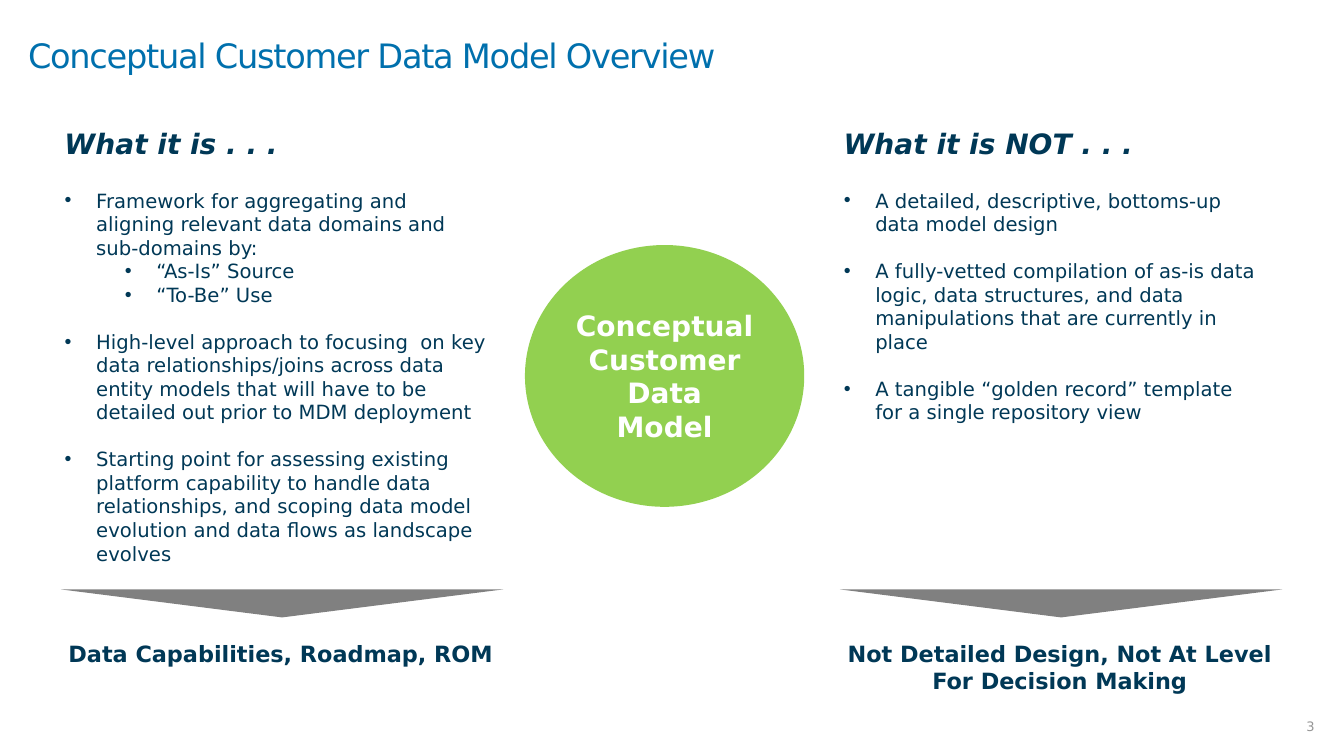
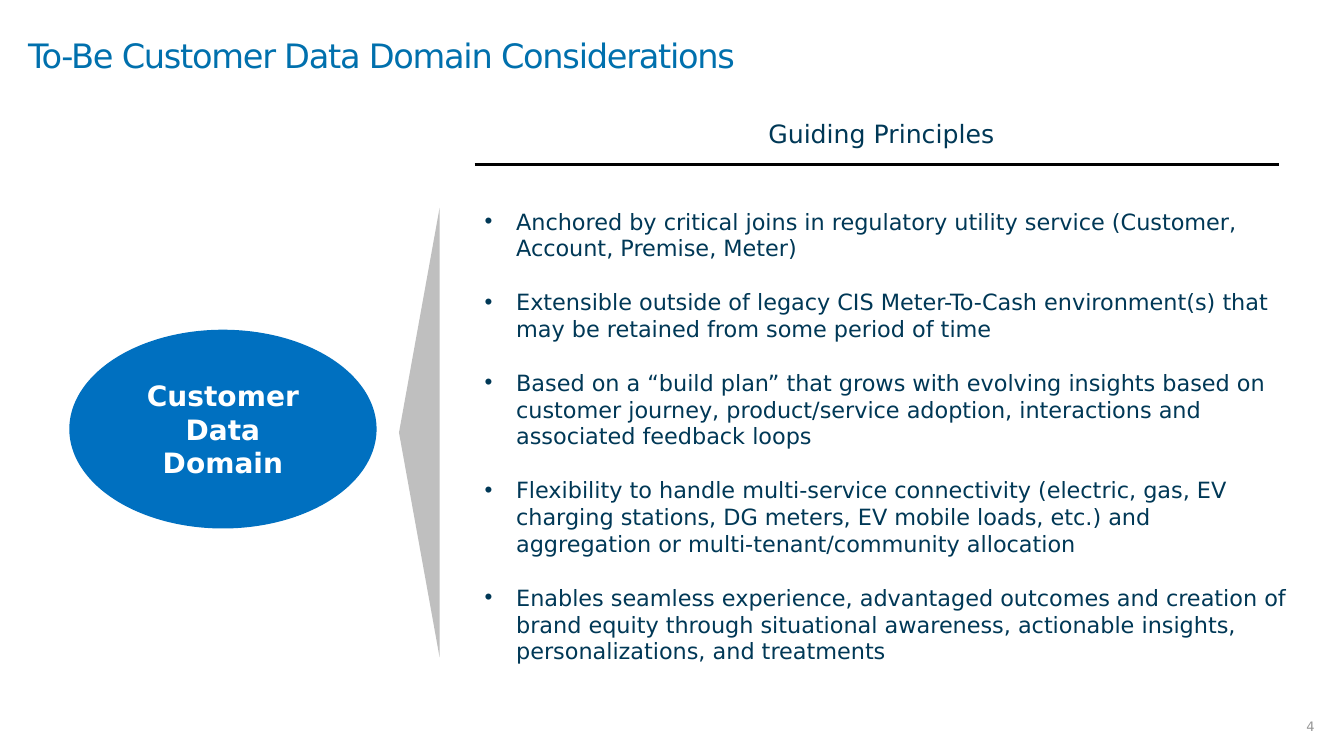
from lxml import etree
from pptx import Presentation
from pptx.dml.color import RGBColor
from pptx.enum import shapes, text
from pptx.oxml import ns
from pptx.util import Pt

FONT = "DejaVu Sans"
NAVY = RGBColor(0x00, 0x38, 0x56)
TITLE_BLUE = RGBColor(0x00, 0x70, 0xAD)
BLUE = RGBColor(0x00, 0x70, 0xC0)
GREEN = RGBColor(0x92, 0xD0, 0x50)
GRAY = RGBColor(0x80, 0x80, 0x80)
LIGHT_GRAY = RGBColor(0xBF, 0xBF, 0xBF)
NUMBER_GRAY = RGBColor(0x96, 0x96, 0x96)
BLACK = RGBColor(0, 0, 0)
WHITE = RGBColor(255, 255, 255)

SLIDE_WIDTH, SLIDE_HEIGHT = 960, 540
LEFT, CENTER = text.PP_ALIGN.LEFT, text.PP_ALIGN.CENTER
TOP, MIDDLE = text.MSO_ANCHOR.TOP, text.MSO_ANCHOR.MIDDLE
TWO_LISTS, ONE_LIST = 3, 1  # layout numbers
LINE_HEIGHT = 1.2
HANG, SUB_INDENT = 22.5, 65.5

IS_ITEMS = [
    (0, "Framework for aggregating and aligning relevant data domains and sub-domains by:"),
    (1, "“As-Is” Source"),
    (1, "“To-Be” Use"),
    (0, "High-level approach to focusing  on key data relationships/joins across data "
        "entity models that will have to be detailed out prior to MDM deployment"),
    (0, "Starting point for assessing existing platform capability to handle data "
        "relationships, and scoping data model evolution and data flows as landscape evolves"),
]
IS_NOT_ITEMS = [
    (0, "A detailed, descriptive, bottoms-up data model design"),
    (0, "A fully-vetted compilation of as-is data logic, data structures, and data "
        "manipulations that are currently in place"),
    (0, "A tangible “golden record” template for a single repository view"),
]
PRINCIPLES = [
    (0, "Anchored by critical joins in regulatory utility service (Customer, Account, "
        "Premise, Meter)"),
    (0, "Extensible outside of legacy CIS Meter-To-Cash environment(s) that may be "
        "retained from some period of time"),
    (0, "Based on a “build plan” that grows with evolving insights based on customer "
        "journey, product/service adoption, interactions and associated feedback loops"),
    (0, "Flexibility to handle multi-service connectivity (electric, gas, EV charging "
        "stations, DG meters, EV mobile loads, etc.) and aggregation or "
        "multi-tenant/community allocation"),
    (0, "Enables seamless experience, advantaged outcomes and creation of brand equity "
        "through situational awareness, actionable insights, personalizations, and treatments"),
]


def place(shape, left, top, width, height):
    shape.left, shape.top = Pt(left), Pt(top)
    shape.width, shape.height = Pt(width), Pt(height)


def format_runs(paragraph, size, color, bold=False, italic=False):
    for run in paragraph.runs:
        font = run.font
        font.name, font.size = FONT, Pt(size)
        font.bold, font.italic = bold, italic
        font.color.rgb = color


def set_label(shape, words, size, color, align=LEFT, anchor=TOP, bold=False, italic=False):
    frame = shape.text_frame
    frame.text = words
    frame.word_wrap = True
    frame.auto_size = text.MSO_AUTO_SIZE.NONE
    frame.vertical_anchor = anchor
    paragraph = frame.paragraphs[0]
    paragraph.alignment = align
    format_runs(paragraph, size, color, bold, italic)
    return paragraph


def add_label(slide, box, words, size, color=NAVY, **style):
    shape = slide.shapes.add_textbox(*map(Pt, box))
    return set_label(shape, words, size, color, **style)


def add_filled(slide, kind, box, color):
    shape = slide.shapes.add_shape(kind, *map(Pt, box))
    shape.shadow.inherit = False
    shape.fill.solid()
    shape.fill.fore_color.rgb = color
    shape.line.fill.background()
    return shape


def add_ellipse(slide, box, words, color):
    ellipse = add_filled(slide, shapes.MSO_SHAPE.OVAL, box, color)
    set_label(ellipse, words, 20, WHITE, align=CENTER, anchor=MIDDLE, bold=True)


def add_pointer(slide, box, color, rotation):
    pointer = add_filled(slide, shapes.MSO_SHAPE.ISOSCELES_TRIANGLE, box, color)
    pointer.rotation = rotation


def fill_list(body, box, items, size):
    """Fill a body placeholder with bullets, a blank line's height before each main one."""
    place(body, *box)
    frame = body.text_frame
    frame.auto_size = text.MSO_AUTO_SIZE.NONE
    frame.vertical_anchor = TOP
    for index, (level, words) in enumerate(items):
        paragraph = frame.paragraphs[0] if index == 0 else frame.add_paragraph()
        paragraph.text = words
        paragraph.level = level
        properties = paragraph._p.get_or_add_pPr()
        properties.set("marL", str(Pt(SUB_INDENT if level else HANG)))
        properties.set("indent", str(-Pt(HANG)))
        etree.SubElement(properties, ns.qn("a:buFont"), typeface="Arial")
        etree.SubElement(properties, ns.qn("a:buChar"), char="•")
        paragraph.alignment = LEFT
        paragraph.space_before = Pt(0 if index == 0 or level else size * LINE_HEIGHT)
        format_runs(paragraph, size, NAVY)


def add_slide(presentation, layout, title, number):
    """Add a slide with the shared title and page number."""
    slide = presentation.slides.add_slide(presentation.slide_layouts[layout])
    shape = slide.shapes.title
    place(shape, 0, 0, SLIDE_WIDTH, 83.5)
    paragraph = set_label(shape, title, 24, TITLE_BLUE, anchor=MIDDLE)
    paragraph.line_spacing = 0.85
    paragraph.runs[0].font._element.set("spc", "-90")
    frame = shape.text_frame
    frame.margin_left, frame.margin_right = Pt(20), Pt(11)
    frame.margin_top = frame.margin_bottom = Pt(2)
    paragraph = add_label(slide, (912, 507.5, 48, 25), number, 9.3, NUMBER_GRAY,
                          align=CENTER, anchor=MIDDLE)
    paragraph.line_spacing = 0.85
    return slide


def add_column(slide, body, left, heading, items, conclusion):
    """Heading, bullets, downward pointer and conclusion, from the column's left edge."""
    width = 316
    add_label(slide, (left, 86.5, width, 32), heading, 20, bold=True, italic=True)
    fill_list(body, (left, 131, width, 278), items, 14)
    add_pointer(slide, (left + 4.5, 421, width, 20), GRAY, 180)
    add_label(slide, (left - 10, 454, 343, 46), conclusion, 16, align=CENTER, bold=True)


def add_principles(slide, body, left, top):
    """Centred heading, rule and bullets, from the region's top left corner."""
    add_label(slide, (left + 164, top, 253, 29), "Guiding Principles", 18, align=CENTER)
    rule_top = top + 36
    rule = slide.shapes.add_connector(shapes.MSO_CONNECTOR.STRAIGHT, Pt(left), Pt(rule_top),
                                      Pt(left + 574.5), Pt(rule_top))
    rule.line.color.rgb = BLACK
    rule.line.width = Pt(2.25)
    etree.SubElement(rule._element.spPr, ns.qn("a:effectLst"))
    fill_list(body, (left, top + 63.5, 590, 337), PRINCIPLES, 16)


def build_overview(presentation):
    slide = add_slide(presentation, TWO_LISTS, "Conceptual Customer Data Model Overview", "3")
    left_body, right_body = list(slide.placeholders)[1:]
    add_column(slide, left_body, 39, "What it is . . .", IS_ITEMS,
               "Data Capabilities, Roadmap, ROM")
    add_column(slide, right_body, 595.5, "What it is NOT . . .", IS_NOT_ITEMS,
               "Not Detailed Design, Not At Level For Decision Making")
    add_ellipse(slide, (375, 175, 199.5, 187), "Conceptual Customer Data Model", GREEN)


def build_considerations(presentation):
    slide = add_slide(presentation, ONE_LIST, "To-Be Customer Data Domain Considerations", "4")
    add_ellipse(slide, (49.5, 235.5, 219.5, 142), "Customer Data Domain", BLUE)
    add_pointer(slide, (139, 294.5, 321, 29), LIGHT_GRAY, 270)
    add_principles(slide, slide.placeholders[1], 339, 81.25)


def main():
    presentation = Presentation()
    presentation.slide_width, presentation.slide_height = Pt(SLIDE_WIDTH), Pt(SLIDE_HEIGHT)
    build_overview(presentation)
    build_considerations(presentation)
    presentation.save("out.pptx")


if __name__ == "__main__":
    main()
